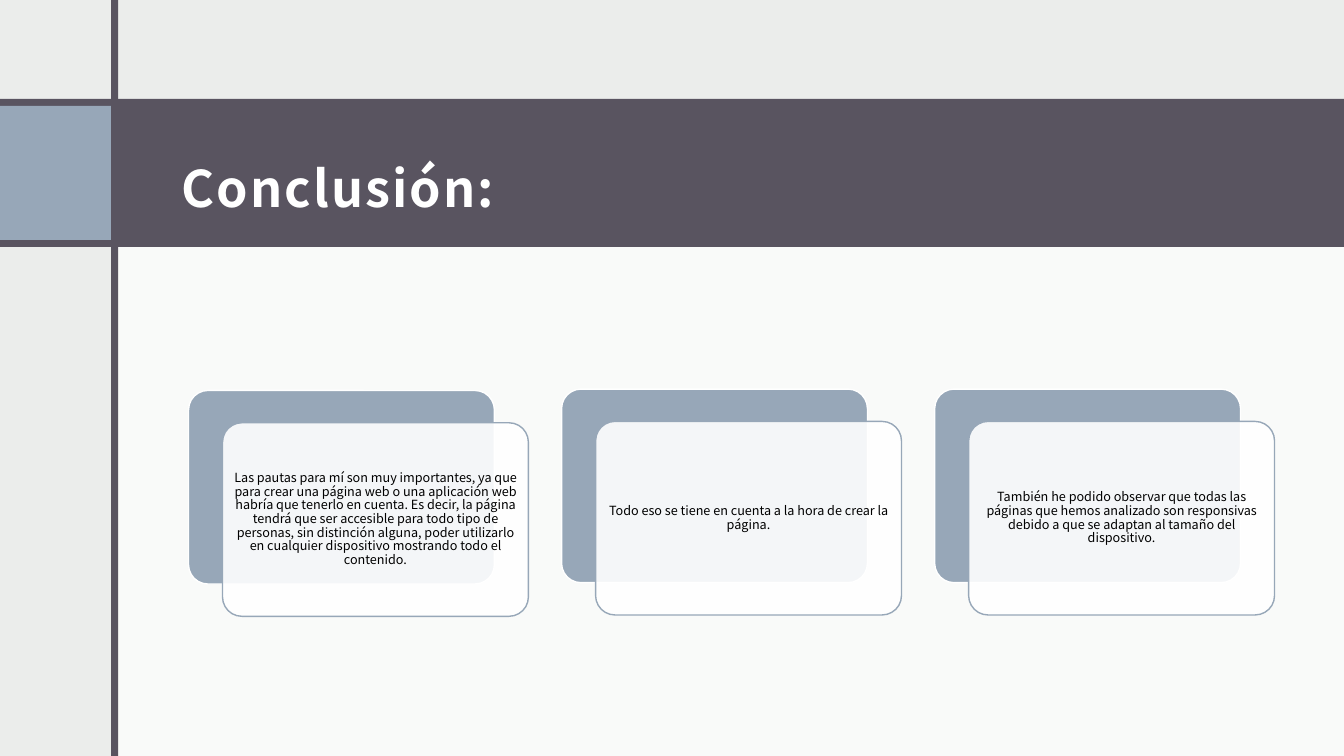
import dataclasses

import lxml.etree
import pptx
import pptx.dml.color
import pptx.enum.shapes
import pptx.enum.text
import pptx.oxml.ns
import pptx.util

FONT = "Noto Sans CJK JP"
DARK, BLUE, PALE, WHITE, BLACK = "595460", "97A7B8", "EBEDEB", "FFFFFF", "000000"
SHAPES = pptx.enum.shapes.MSO_SHAPE
ALIGN = pptx.enum.text.PP_ALIGN

TITLE = "Conclusión:"
CONCLUSIONS = [
    "Las pautas para mí son muy importantes, ya que para crear una página web o una "
    "aplicación web habría que tenerlo en cuenta. Es decir, la página tendrá que ser "
    "accesible para todo tipo de personas, sin distinción alguna, poder utilizarlo en "
    "cualquier dispositivo mostrando todo el contenido.",
    "Todo eso se tiene en cuenta a la hora de crear la página.",
    "También he podido observar que todas las páginas que hemos analizado son "
    "responsivas debido a que se adaptan al tamaño del dispositivo.",
]


@dataclasses.dataclass
class Box:
    left: float
    top: float
    width: float
    height: float

    def inner(self, left, top, width, height):
        """Return an inner box given in percent of this one."""
        return Box(self.left + self.width * left / 100,
                   self.top + self.height * top / 100,
                   self.width * width / 100,
                   self.height * height / 100)

    def place(self, shape):
        shape.left, shape.top = round(self.left), round(self.top)
        shape.width, shape.height = round(self.width), round(self.height)


def colour(hex_text):
    return pptx.dml.color.RGBColor.from_string(hex_text)


def add_block(page, box, fill, kind=SHAPES.RECTANGLE, line=None, opacity=100):
    shape = page.shapes.add_shape(kind, 0, 0, 0, 0)
    box.place(shape)
    shape.shadow.inherit = False
    shape.fill.solid()
    shape.fill.fore_color.rgb = colour(fill)
    if opacity < 100:
        solid = shape._element.spPr.find(pptx.oxml.ns.qn("a:solidFill"))
        alpha = lxml.etree.SubElement(solid[0], pptx.oxml.ns.qn("a:alpha"))
        alpha.set("val", str(opacity * 1000))
    if line:
        shape.line.color.rgb = colour(line)
        shape.line.width = pptx.util.Pt(1)
    else:
        shape.line.fill.background()
    return shape


def write_text(shape, text, size, ink, bold=False, align=ALIGN.LEFT,
               line_spacing=1.0, letter_spacing=0, inset=0.1):
    frame = shape.text_frame
    frame.word_wrap = True
    frame.auto_size = pptx.enum.text.MSO_AUTO_SIZE.NONE
    frame.vertical_anchor = pptx.enum.text.MSO_ANCHOR.MIDDLE
    frame.margin_left = frame.margin_right = pptx.util.Inches(inset)
    frame.margin_top = frame.margin_bottom = pptx.util.Inches(inset)
    para = frame.paragraphs[0]
    para.alignment = align
    para.line_spacing = line_spacing
    para.space_before = pptx.util.Pt(0)
    span = para.add_run()
    span.text = text
    span.font.name = FONT
    span.font.size = pptx.util.Pt(size)
    span.font.bold = bold
    span.font.color.rgb = colour(ink)
    properties = span.font._element
    properties.set("spc", str(round(letter_spacing * 100)))
    east_asian = lxml.etree.SubElement(properties, pptx.oxml.ns.qn("a:ea"))
    east_asian.set("typeface", FONT)


def add_frame(page, box):
    # Content panel, title band, side square and vertical bar
    add_block(page, box.inner(8.55, 31.07, 91.45, 68.93), WHITE, opacity=75)
    add_block(page, box.inner(0, 13.07, 100, 19.6), DARK)
    add_block(page, box.inner(0, 14, 8.25, 17.73), BLUE)
    add_block(page, box.inner(8.26, 0, 0.53, 100), DARK)


def add_title(page, box):
    title = page.shapes.title
    box.place(title)
    write_text(title, TITLE, 36, WHITE, bold=True, line_spacing=1.5,
               letter_spacing=1.5, inset=0.12)
    # Bring the title in front of its band
    page.shapes._spTree.append(title._element)


def add_card(page, box, text):
    rounded = SHAPES.ROUNDED_RECTANGLE
    back = add_block(page, box.inner(0, 0, 90, 85.7), BLUE, rounded, WHITE)
    front = add_block(page, box.inner(10, 14.3, 90, 85.7), WHITE, rounded, BLUE, 90)
    for shape in (back, front):
        shape.adjustments[0] = 0.1
    write_text(front, text, 9, BLACK, align=ALIGN.CENTER, line_spacing=0.9, inset=0.04)


def add_cards(page, box, texts, gap=3.06):
    width = (100 - gap * (len(texts) - 1)) / len(texts)
    for index, text in enumerate(texts):
        # The first card sits slightly lower than the others
        top = 0.6 if index == 0 else 0
        add_card(page, box.inner(index * (width + gap), top, width, 100), text)


def build_conclusion(deck):
    page = deck.slides.add_slide(deck.slide_layouts[5])
    page.background.fill.solid()
    page.background.fill.fore_color.rgb = colour(PALE)
    whole = Box(0, 0, deck.slide_width, deck.slide_height)
    add_frame(page, whole)
    add_title(page, whole.inner(12.6, 15.2, 82.15, 15.07))
    add_cards(page, whole.inner(14.03, 51.47, 80.8, 29.87), CONCLUSIONS)


deck = pptx.Presentation()
deck.slide_width = pptx.util.Inches(13.33)
deck.slide_height = pptx.util.Inches(7.5)
build_conclusion(deck)
deck.save("out.pptx")
